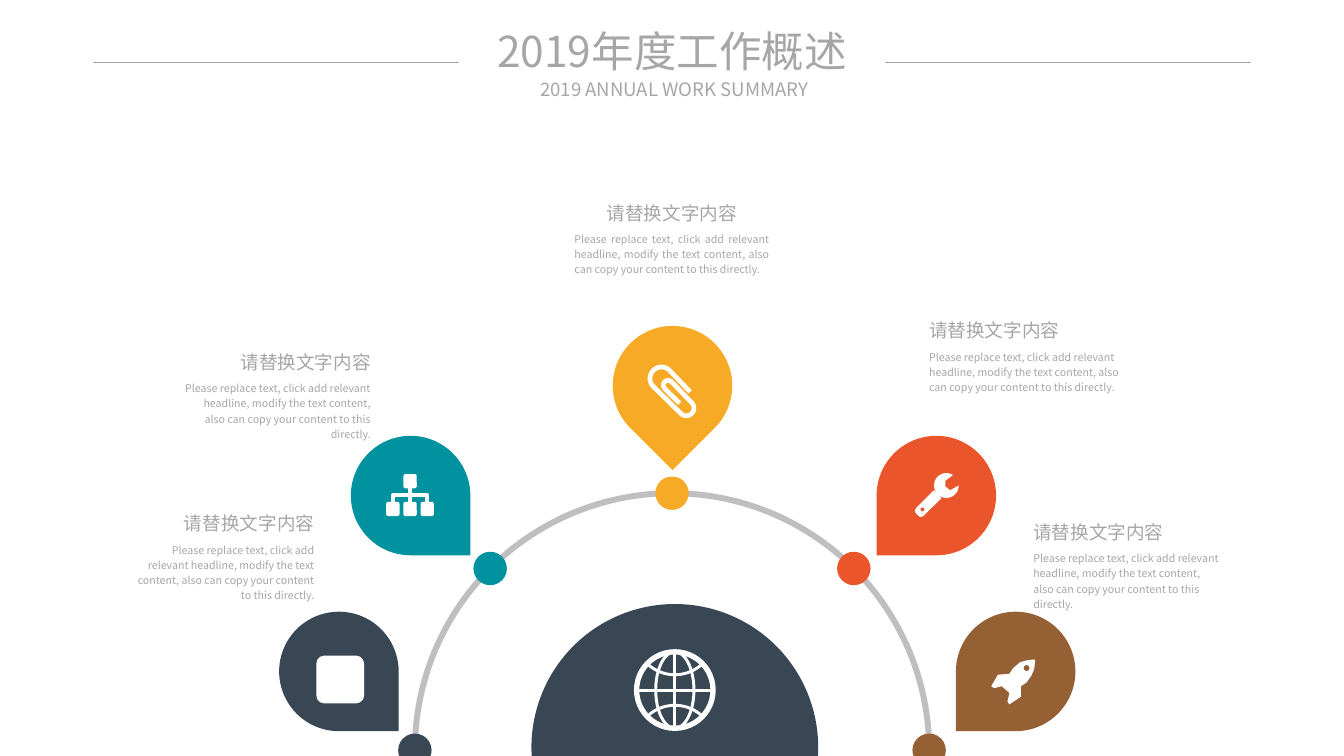
from math import cos, radians, sin

from lxml import etree
from pptx import Presentation
from pptx.dml.color import RGBColor
from pptx.enum.shapes import MSO_CONNECTOR, MSO_SHAPE
from pptx.enum.text import MSO_ANCHOR, PP_ALIGN
from pptx.oxml.ns import qn
from pptx.util import Inches, Pt

WIDTH, HEIGHT = 14.06, 7.91
CENTER = WIDTH / 2
FONT = "Noto Sans CJK SC"
COLORS = {
    "navy": "394754", "teal": "00939F", "amber": "F6AA26", "orange": "EA552B",
    "brown": "956134", "text": "A6A6A6", "track": "BFBFBF", "white": "FFFFFF",
}
HEADING = "请替换文字内容"
BODY = ("Please replace text, click add relevant headline, modify the text content, "
        "also can copy your content to this directly.")
PIN_SIZE = 1.25


def rgb(name):
    return RGBColor.from_string(COLORS[name])


def paint(shape, fill=None, line=None, weight=1):
    shape.shadow.inherit = False
    if fill:
        shape.fill.solid()
        shape.fill.fore_color.rgb = rgb(fill)
    else:
        shape.fill.background()
    if line:
        shape.line.color.rgb = rgb(line)
        shape.line.width = Pt(weight)
    else:
        shape.line.fill.background()
    return shape


def add_preset(slide, kind, left, top, width, height, **style):
    shape = slide.shapes.add_shape(kind, Inches(left), Inches(top), Inches(width), Inches(height))
    return paint(shape, **style)


def add_circle(slide, x, y, radius, **style):
    return add_preset(slide, MSO_SHAPE.OVAL, x - radius, y - radius, 2 * radius, 2 * radius, **style)


def add_outline(slide, left, top, points, close=True, **style):
    """Draw points given in inches from the corner (left, top)."""
    corners = [(Inches(left + x), Inches(top + y)) for x, y in points]
    builder = slide.shapes.build_freeform(*corners[0], scale=1.0)
    builder.add_line_segments(corners[1:], close=close)
    return paint(builder.convert_to_shape(), **style)


def add_line(slide, x1, y1, x2, y2, color, weight):
    line = slide.shapes.add_connector(
        MSO_CONNECTOR.STRAIGHT, Inches(x1), Inches(y1), Inches(x2), Inches(y2))
    line.line.color.rgb = rgb(color)
    line.line.width = Pt(weight)
    etree.SubElement(line._element.spPr, qn("a:effectLst"))
    return line


def arc_points(x, y, radius, start, sweep=-180, steps=24):
    angles = [radians(start + sweep * step / steps) for step in range(steps + 1)]
    return [(x + radius * cos(angle), y + radius * sin(angle)) for angle in angles]


def write(shape, box, text, size, align, anchor=MSO_ANCHOR.TOP, spacing=1.0):
    shape.left, shape.top, shape.width, shape.height = map(Inches, box)
    frame = shape.text_frame
    frame.margin_left = frame.margin_right = frame.margin_top = frame.margin_bottom = 0
    frame.word_wrap = True
    frame.vertical_anchor = anchor
    paragraph = frame.paragraphs[0]
    paragraph.alignment = align
    paragraph.line_spacing = spacing
    run = paragraph.add_run()
    run.text = text
    run.font.size = Pt(size)
    run.font.name = FONT
    run.font.color.rgb = rgb("text")
    etree.SubElement(run._r.get_or_add_rPr(), qn("a:ea"), typeface=FONT)


def add_text(slide, box, *args, **options):
    write(slide.shapes.add_textbox(0, 0, 0, 0), box, *args, **options)


def add_header(slide, top):
    write(slide.shapes.title, (CENTER - 2.16, top, 4.32, 0.54), "2019年度工作概述",
          32, PP_ALIGN.CENTER, MSO_ANCHOR.MIDDLE)
    add_text(slide, (CENTER - 1.53, top + 0.55, 3.11, 0.24), "2019 ANNUAL WORK SUMMARY",
             14, PP_ALIGN.CENTER, MSO_ANCHOR.MIDDLE)
    for side in (-1, 1):
        add_line(slide, CENTER + side * 6.06, top + 0.39, CENTER + side * 2.23, top + 0.39, "text", 0.5)


def add_globe(slide, x, y, radius):
    stroke = {"line": "white", "weight": 2.2}
    add_circle(slide, x, y, radius, line="white", weight=4)
    add_preset(slide, MSO_SHAPE.OVAL, x - radius / 2, y - radius, radius, 2 * radius, **stroke)
    add_line(slide, x, y - radius, x, y + radius, "white", 2.2)
    add_line(slide, x - radius, y, x + radius, y, "white", 2.2)
    for side in (-1, 1):
        parallel = arc_points(0, side * 0.58, 0.42, side * -50, side * -80)
        add_outline(slide, x, y, parallel, close=False, **stroke)


def add_hub(slide, y):
    hub = add_preset(slide, MSO_SHAPE.CHORD, CENTER - 1.47, y - 1.54, 3, 3, fill="navy")
    hub.adjustments[0], hub.adjustments[1] = 105.35, 2.34
    add_globe(slide, CENTER + 0.03, y - 0.64, 0.4)


def add_track(slide, y, radius, colors):
    track = add_preset(slide, MSO_SHAPE.ARC, CENTER - radius, y - radius, 2 * radius, 2 * radius,
                       line="track", weight=4.5)
    track.adjustments[0], track.adjustments[1] = 107.69, 0
    for index, color in enumerate(colors):
        angle = radians(180 - 45 * index)
        add_circle(slide, CENTER + radius * cos(angle), y - radius * sin(angle), 0.175, fill=color)


def add_badge(slide, left, top, color):
    add_preset(slide, MSO_SHAPE.ROUNDED_RECTANGLE, left + 0.39, top + 0.46, 0.5, 0.5, fill="white")


def add_sitemap(slide, left, top, color):
    def add_node(x, y):
        return add_preset(slide, MSO_SHAPE.ROUNDED_RECTANGLE, left + x, top + y, 0.14, 0.15, fill="white")

    root = add_node(0.55, 0.4)
    leaves = [add_node(0.37 + 0.18 * column, 0.69) for column in range(3)]
    stem = add_line(slide, left + 0.62, top + 0.55, left + 0.62, top + 0.69, "white", 2.9)
    stem.begin_connect(root, 0 + 2)
    stem.end_connect(leaves[1], 0)
    add_outline(slide, left, top, [(0.44, 0.69), (0.44, 0.62), (0.8, 0.62), (0.8, 0.69)],
                close=False, line="white", weight=2.9)


def add_paperclip(slide, left, top, color):
    wire = [(0.81, 0.69), *arc_points(0.51, 0.55, 0.12, -45), *arc_points(0.77, 0.86, 0.08, 135),
            *arc_points(0.58, 0.62, 0.05, -45), (0.7, 0.81)]
    add_outline(slide, left, top, wire, close=False, line="white", weight=3.5)


def add_wrench(slide, left, top, color):
    handle = [(0.6, 0.57), (0.68, 0.65), (0.49, 0.84), (0.46, 0.85), (0.44, 0.84),
              (0.41, 0.81), (0.4, 0.79), (0.41, 0.76)]
    jaw = [(0.86, 0.52), (0.77, 0.57), (0.72, 0.53), (0.72, 0.47)]
    add_outline(slide, left, top, handle, fill="white")
    add_outline(slide, left, top, arc_points(0.73, 0.52, 0.13, -57, -285) + jaw, fill="white")
    add_circle(slide, left + 0.48, top + 0.77, 0.02, fill=color)


def add_rocket(slide, left, top, color):
    hull = [(0.82, 0.5), (0.83, 0.51), (0.82, 0.6), (0.79, 0.67), (0.74, 0.74), (0.68, 0.78),
            (0.68, 0.89), (0.56, 0.97), (0.54, 0.94), (0.56, 0.85), (0.48, 0.78), (0.4, 0.8),
            (0.37, 0.78), (0.44, 0.66), (0.56, 0.65), (0.6, 0.59), (0.67, 0.53), (0.74, 0.51)]
    add_outline(slide, left, top, hull, fill="white")
    add_circle(slide, left + 0.74, top + 0.59, 0.03, fill=color)


def add_pin(slide, left, top, color, rotation, add_icon):
    pin = add_preset(slide, MSO_SHAPE.TEAR, left, top, PIN_SIZE, PIN_SIZE, fill=color)
    pin.rotation = rotation
    add_icon(slide, left, top, color)


def add_caption(slide, left, top, width, heading_align, body_align):
    add_text(slide, (left, top, width, 0.24), HEADING, 14, heading_align)
    add_text(slide, (left, top + 0.3, width, 0.63), BODY, 8, body_align, spacing=1.2)


def build_summary(slide):
    left, center, right, justify = PP_ALIGN.LEFT, PP_ALIGN.CENTER, PP_ALIGN.RIGHT, PP_ALIGN.JUSTIFY
    topics = [
        ("navy", (2.92, 6.4), 90, add_badge, (1.36, 5.36, 1.93, right, right)),
        ("teal", (3.67, 4.56), 90, add_sitemap, (1.92, 3.67, 1.96, right, right)),
        ("amber", (6.41, 3.41), 135, add_paperclip, (6.01, 2.11, 2.04, center, justify)),
        ("orange", (9.17, 4.56), 180, add_wrench, (9.72, 3.34, 2.04, left, left)),
        ("brown", (10, 6.4), 180, add_rocket, (10.81, 5.45, 1.96, left, left)),
    ]
    add_header(slide, 0.26)
    add_hub(slide, 7.86)
    add_track(slide, 7.85, 2.69, [topic[0] for topic in topics])
    for color, corner, rotation, add_icon, caption in topics:
        add_pin(slide, *corner, color, rotation, add_icon)
        add_caption(slide, *caption)


def main():
    presentation = Presentation()
    presentation.slide_width, presentation.slide_height = Inches(WIDTH), Inches(HEIGHT)
    build_summary(presentation.slides.add_slide(presentation.slide_layouts[5]))
    presentation.save("out.pptx")


if __name__ == "__main__":
    main()
